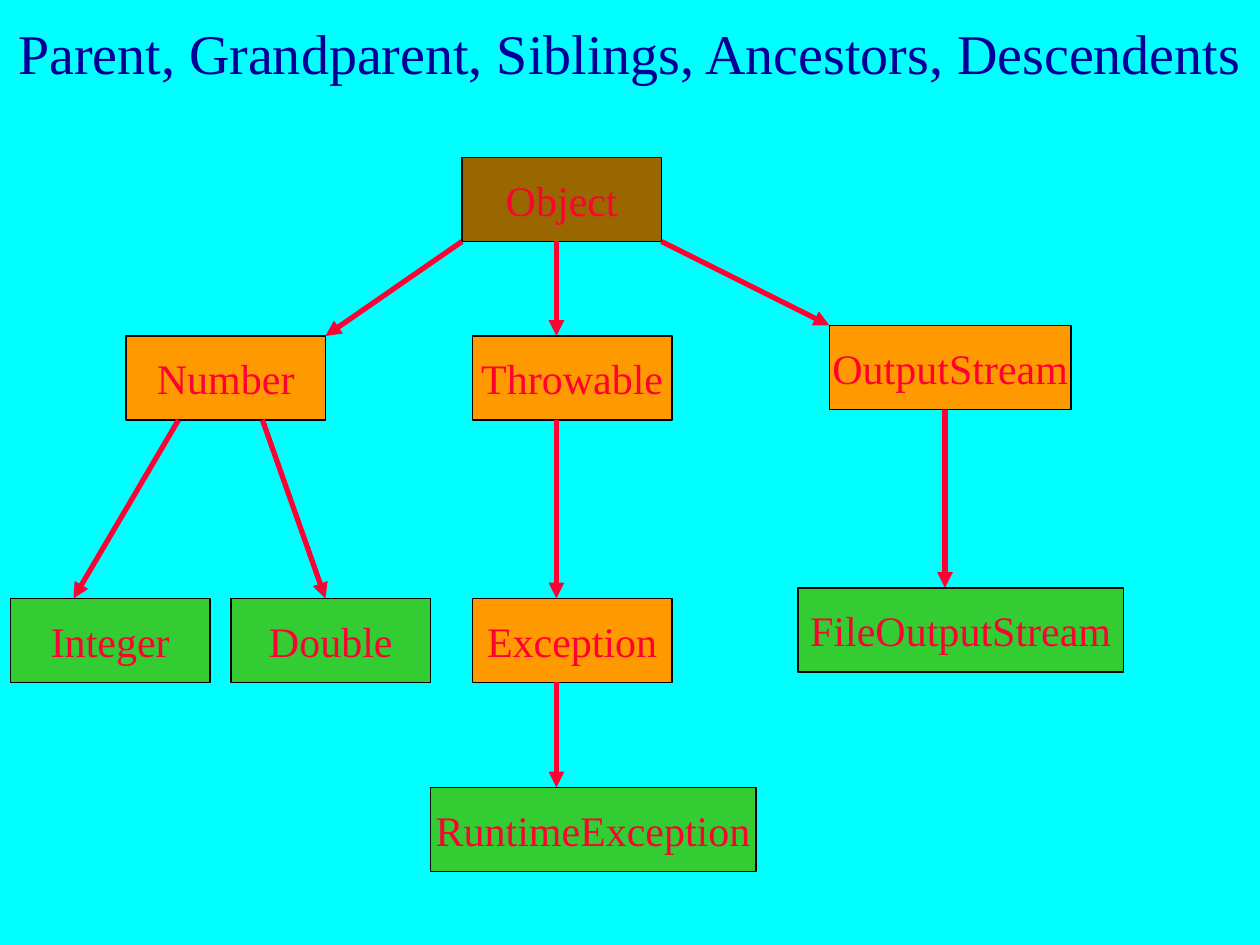
from dataclasses import dataclass

from lxml.etree import SubElement
from pptx import Presentation
from pptx.dml.color import RGBColor
from pptx.enum.shapes import MSO_CONNECTOR, MSO_SHAPE
from pptx.enum.text import MSO_ANCHOR, MSO_AUTO_SIZE, PP_ALIGN
from pptx.oxml.ns import qn
from pptx.util import Cm, Pt


@dataclass(frozen=True)
class Theme:
    back: str = "00FFFF"
    title: str = "000099"
    label: str = "FF0033"
    edge: str = "000000"
    root: str = "996600"
    inner: str = "FF9900"
    leaf: str = "33CC33"
    font: str = "Times New Roman"
    title_size: int = 32
    label_size: int = 24


THEME = Theme()
WIDTH, HEIGHT = Cm(25.4), Cm(19.05)
UNIT = Cm(25.4) / 120  # the tree is laid out on a grid of 120 by 90
BOX_H = 8

# name: (column, row, width, fill)
NODES = {
    "Object": (44, 15, 19, THEME.root),
    "Number": (12, 32, 19, THEME.inner),
    "Throwable": (45, 32, 19, THEME.inner),
    "OutputStream": (79, 31, 23, THEME.inner),
    "Integer": (1, 57, 19, THEME.leaf),
    "Double": (22, 57, 19, THEME.leaf),
    "Exception": (45, 57, 19, THEME.inner),
    "FileOutputStream": (76, 56, 31, THEME.leaf),
    "RuntimeException": (41, 75, 31, THEME.leaf),
}

# parent, offset along its bottom, child, offset along its top
LINKS = [
    ("Object", 9, "Throwable", 8),
    ("Object", 0, "Number", 19),
    ("Object", 19, "OutputStream", 0),
    ("Number", 5, "Integer", 6),
    ("Number", 13, "Double", 9),
    ("Throwable", 8, "Exception", 8),
    ("OutputStream", 11, "FileOutputStream", 14),
    ("Exception", 8, "RuntimeException", 12),
]


def rgb(code):
    return RGBColor.from_string(code)


def write(shape, text, size, color, wrap=True):
    frame = shape.text_frame
    frame.auto_size = MSO_AUTO_SIZE.NONE
    frame.word_wrap = wrap
    frame.vertical_anchor = MSO_ANCHOR.MIDDLE
    frame.margin_left = frame.margin_right = Cm(0.25)
    frame.margin_top = frame.margin_bottom = Cm(0.13)
    para = frame.paragraphs[0]
    para.alignment = PP_ALIGN.CENTER
    run = para.add_run()
    run.text = text
    run.font.name = THEME.font
    run.font.size = Pt(size)
    run.font.color.rgb = rgb(color)


def add_title(slide, left, top, width, height):
    title = slide.shapes.title
    title.left, title.top = left, top
    title.width, title.height = width, height
    write(title, "Parent, Grandparent, Siblings, Ancestors, Descendents",
          THEME.title_size, THEME.title)


def add_node(slide, name, left, top, width, height, fill):
    node = slide.shapes.add_shape(MSO_SHAPE.RECTANGLE, left, top, width, height)
    node.shadow.inherit = False
    node.fill.solid()
    node.fill.fore_color.rgb = rgb(fill)
    node.line.color.rgb = rgb(THEME.edge)
    node.line.width = Pt(1)
    write(node, name, THEME.label_size, THEME.label, wrap=False)


def add_arrow(slide, start, end):
    arrow = slide.shapes.add_connector(MSO_CONNECTOR.STRAIGHT, *start, *end)
    arrow.line.color.rgb = rgb(THEME.label)
    arrow.line.width = Pt(3)
    SubElement(arrow.line._get_or_add_ln(), qn("a:tailEnd"), type="triangle")
    SubElement(arrow._element.spPr, qn("a:effectLst"))


def add_tree(slide, left, top):
    def point(col, row):
        return round(left + col * UNIT), round(top + row * UNIT)

    for name, (col, row, wide, fill) in NODES.items():
        add_node(slide, name, *point(col, row),
                 round(wide * UNIT), round(BOX_H * UNIT), fill)
    for parent, out, child, into in LINKS:
        col, row = NODES[parent][:2]
        to_col, to_row = NODES[child][:2]
        add_arrow(slide, point(col + out, row + BOX_H),
                  point(to_col + into, to_row))


def main():
    deck = Presentation()
    deck.slide_width, deck.slide_height = WIDTH, HEIGHT
    slide = deck.slides.add_slide(deck.slide_layouts[5])
    slide.background.fill.solid()
    slide.background.fill.fore_color.rgb = rgb(THEME.back)
    add_title(slide, 0, 0, WIDTH, Cm(2.12))
    add_tree(slide, 0, 0)
    deck.save("out.pptx")


if __name__ == "__main__":
    main()
